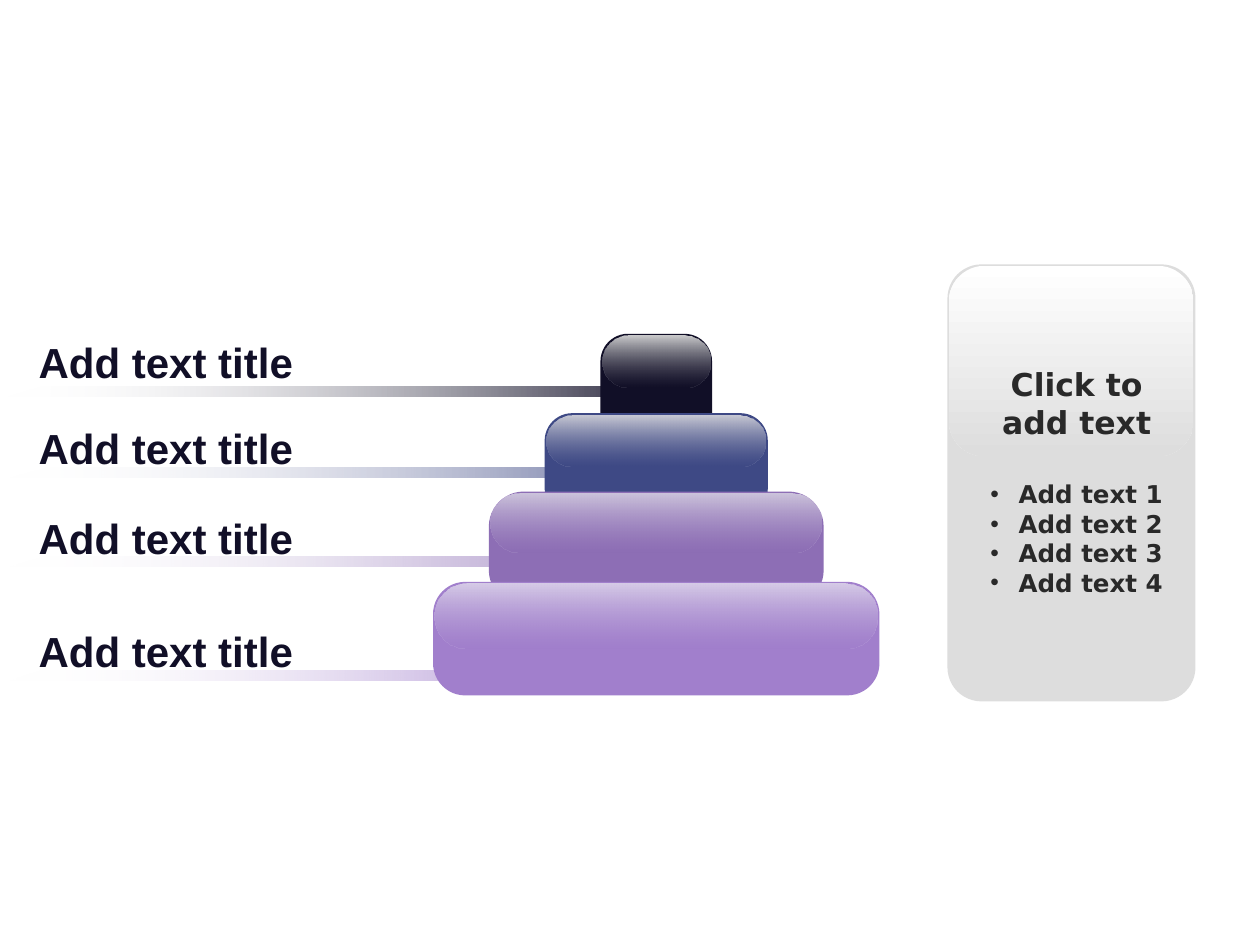
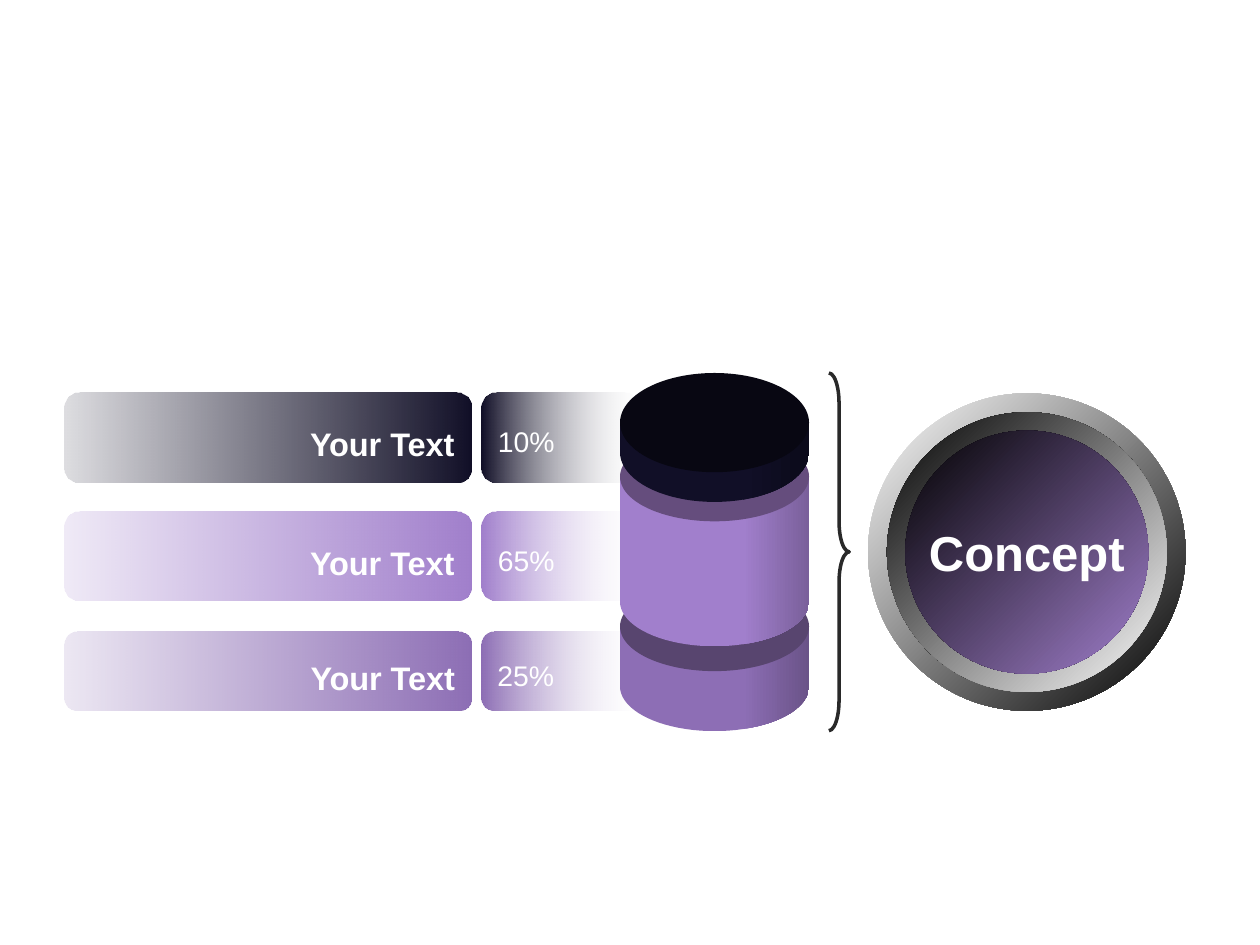
import math

import pptx
import pptx.dml.color
import pptx.enum.shapes
import pptx.enum.text
import pptx.oxml
import pptx.oxml.ns
import pptx.util

Cm = pptx.util.Cm
Pt = pptx.util.Pt
KIND = pptx.enum.shapes.MSO_SHAPE
ALIGN = pptx.enum.text.PP_ALIGN
MIDDLE = pptx.enum.text.MSO_ANCHOR.MIDDLE
qn = pptx.oxml.ns.qn

# Shared colours
NAVY, BLUE, PLUM, LILAC = "110F27", "3E4985", "8D6EB5", "A17FCC"
WHITE, BLACK, GREY, INK = "FFFFFF", "000000", "DDDDDD", "292929"


def rgb(code):
    return pptx.dml.color.RGBColor.from_string(code)


class Deck:
    sans, wide = "Arial", "DejaVu Sans"

    def __init__(self):
        self.file = pptx.Presentation()
        self.file.slide_width, self.file.slide_height = Cm(25.4), Cm(19.05)
        self.slide = None

    def page(self):
        self.slide = self.file.slides.add_slide(self.file.slide_layouts[6])

    def paint(self, shape, fill, angle=0):
        """Fill with a colour, or with (position, colour, opacity) stops."""
        shape.shadow.inherit = False
        shape.line.fill.background()
        if isinstance(fill, str):
            shape.fill.solid()
            shape.fill.fore_color.rgb = rgb(fill)
            return
        shape.fill.background()
        stops = "".join(
            f'<a:gs pos="{pos * 1000}"><a:srgbClr val="{code}">'
            f'<a:alpha val="{alpha * 1000}"/></a:srgbClr></a:gs>'
            for pos, code, alpha in fill)
        props = shape._element.spPr
        props.replace(props.find(qn("a:noFill")), pptx.oxml.parse_xml(
            f'<a:gradFill {pptx.oxml.ns.nsdecls("a")} rotWithShape="1">'
            f'<a:gsLst>{stops}</a:gsLst>'
            f'<a:lin ang="{angle * 60000}" scaled="0"/></a:gradFill>'))

    def shape(self, kind, box, fill, angle=0, adjust=()):
        item = self.slide.shapes.add_shape(kind, *map(Cm, box))
        for i, value in enumerate(adjust):
            item.adjustments[i] = value
        self.paint(item, fill, angle)
        return item

    def round(self, box, fill, angle=0, corner=0.167):
        return self.shape(KIND.ROUNDED_RECTANGLE, box, fill, angle, (corner,))

    def brace(self, box, code):
        item = self.shape(KIND.RIGHT_BRACE, box, WHITE, 0, (1.495, 0.5))
        item.fill.background()
        item.line.color.rgb = rgb(code)
        item.line.width = Pt(2)

    def drum(self, left, top, width, lid, depth, side, shade, face):
        """A cylinder: a side wall with a curved base, and an oval lid."""
        mid = top + lid / 2
        arc = [(left + width / 2 * (1 + math.cos(math.pi * i / 40)),
                mid + depth + lid / 2 * math.sin(math.pi * i / 40))
               for i in range(41)]
        wall = self.slide.shapes.build_freeform(Cm(left), Cm(mid))
        wall.add_line_segments(
            [(Cm(x), Cm(y)) for x, y in [(left + width, mid)] + arc])
        self.paint(wall.convert_to_shape(),
                   [(0, side, 100), (65, side, 100), (100, shade, 100)])
        self.shape(KIND.OVAL, (left, top, width, lid), face)

    def box(self, area):
        return self.slide.shapes.add_textbox(*map(Cm, area))

    def text(self, shape, words, size, code, align, font=sans, bold=True,
             wrap=True, first=True):
        frame = shape.text_frame
        frame.word_wrap = wrap
        para = frame.paragraphs[0] if first else frame.add_paragraph()
        para.alignment = align
        run = para.add_run()
        run.text = words
        run.font.name, run.font.size, run.font.bold = font, Pt(size), bold
        run.font.color.rgb = rgb(code)
        return para

    def lower(self, shape, words, size, align, bold):
        """Text set as a subscript over a deep bottom margin."""
        para = self.text(shape, words, size, WHITE, align, bold=bold)
        para.runs[0].font._element.set("baseline", "-25000")
        frame = shape.text_frame
        frame.vertical_anchor = MIDDLE
        frame.margin_left = frame.margin_right = Cm(0.25)
        frame.margin_top, frame.margin_bottom = 0, Cm(0.5)

    def bullet(self, para, indent):
        props = para._p.get_or_add_pPr()
        props.set("marL", str(Cm(indent)))
        props.set("indent", str(-Cm(indent)))
        for tag, key, value in (("buFont", "typeface", self.sans),
                                ("buChar", "char", "•")):
            mark = pptx.oxml.parse_xml(
                f'<a:{tag} {pptx.oxml.ns.nsdecls("a")} {key}="{value}"/>')
            props.append(mark)


def pyramid(deck):
    deck.page()

    # Side panel
    deck.round((19.1, 5.33, 5, 8.81), GREY, corner=0.137)
    deck.round((19.13, 5.36, 4.93, 3.84),
               [(0, WHITE, 100), (100, GREY, 100)], 90, 0.186)
    panel = deck.box((19.51, 7.24, 4.39, 5.49))
    head = deck.text(panel, "Click to add text", 18, INK, ALIGN.CENTER,
                     deck.wide)
    head.space_after = Pt(22)
    for i in range(1, 5):
        para = deck.text(panel, f"Add text {i}", 14, INK, ALIGN.CENTER,
                         deck.wide, first=False)
        deck.bullet(para, 0.57)

    # Strips and their labels: colour, left, top, width, slant, label middle
    for code, left, top, width, slant, mid in (
            (NAVY, 0.1, 7.8, 14, 3.817, 7.3),
            (BLUE, 0.13, 9.42, 15, 4.179, 9.03),
            (PLUM, 0.13, 11.23, 14.2, 3.871, 10.83),
            (LILAC, 0.13, 13.51, 12.8, 3.489, 13.12)):
        deck.shape(KIND.PARALLELOGRAM, (left, top, width, 0.2),
                   [(0, WHITE, 0), (100, code, 100)], 0, (slant,))
        label = deck.box((0.53, mid - 0.76, 8.2, 1.52))
        label.text_frame.vertical_anchor = MIDDLE
        deck.text(label, "Add text title", 24, NAVY, ALIGN.LEFT)

    # Tiers: colour, shine, top, height, corner, shine height
    tiers = ((NAVY, "CCCCCD", 6.73, 2.29, 0.247, 1.04),
             (BLUE, "C8C9D4", 8.33, 2.06, 0.269, 1.04),
             (PLUM, "CDC4DC", 9.91, 2.29, 0.308, 1.19),
             (LILAC, "D6CBE7", 11.73, 2.29, 0.284, 1.3))
    for i, (code, shine, top, high, corner, gloss) in enumerate(tiers, 1):
        width = 2.25 * i
        left = 13.23 - width / 2
        deck.round((left, top, width, high), code, corner=corner)
        deck.round((left + 0.04, top + 0.04, width - 0.08, gloss),
                   [(0, shine, 100), (100, code, 37)], 90, 0.5)


def concept(deck):
    deck.page()
    deck.brace((16.71, 7.52, 0.41, 7.21), INK)

    # Bars with their shares
    for code, share, top, high, fade in ((NAVY, "10%", 7.92, 1.8, 14),
                                         (LILAC, "65%", 10.31, 1.8, 16),
                                         (PLUM, "25%", 12.73, 1.6, 16)):
        bar = deck.round((1.3, top, 8.2, high),
                         [(0, code, fade), (100, code, 100)])
        deck.lower(bar, "Your Text", 32, ALIGN.RIGHT, True)
        part = deck.round((9.7, top, 3.2, high),
                          [(0, code, 100), (100, WHITE, 14)])
        deck.lower(part, share, 28, ALIGN.LEFT, False)

    # Stacked drum, from the base up
    for top, lid, depth, side, shade, face in (
            (11.73, 1.8, 1.21, PLUM, "6A5388", "58456F"),
            (8.71, 1.8, 2.52, LILAC, "7A609B", "654D7D"),
            (7.52, 2, 0.6, NAVY, "0B0A1A", "080712")):
        deck.drum(12.5, top, 3.81, lid, depth, side, shade, face)

    # Rings around the concept
    for size, start, end in ((6.4, WHITE, BLACK), (5.64, BLACK, WHITE),
                             (4.9, BLACK, LILAC)):
        ring = deck.shape(
            KIND.OVAL, (20.7 - size / 2, 11.13 - size / 2, size, size),
            [(0, start, 100), (100, end, 100)], 45)
    ring.text_frame.vertical_anchor = MIDDLE
    deck.text(ring, "Concept", 28, WHITE, ALIGN.CENTER, wrap=False)


def main():
    deck = Deck()
    pyramid(deck)
    concept(deck)
    deck.file.save("out.pptx")


if __name__ == "__main__":
    main()
